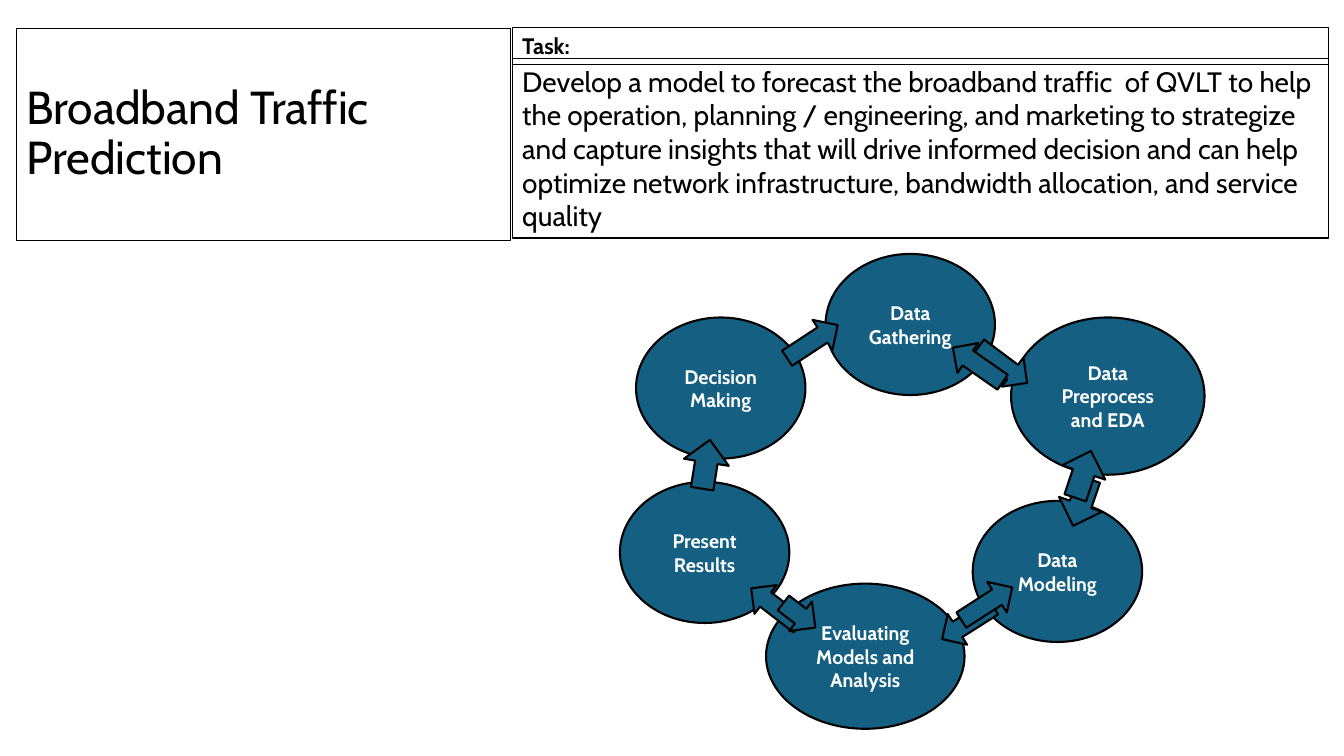
from dataclasses import dataclass

import pptx
import pptx.dml.color
import pptx.enum.shapes
import pptx.enum.text
import pptx.oxml
import pptx.shapes.autoshape
import pptx.shapes.group
import pptx.util

Pt = pptx.util.Pt
Color = pptx.dml.color.RGBColor
Preset = pptx.enum.shapes.MSO_SHAPE
Align = pptx.enum.text.PP_ALIGN
Anchor = pptx.enum.text.MSO_ANCHOR


@dataclass(frozen=True)
class Theme:
    font: str = "Cabin"
    ink: Color = Color(0x00, 0x00, 0x00)
    paper: Color = Color(0xFF, 0xFF, 0xFF)
    accent: Color = Color(0x15, 0x60, 0x82)
    title_size: float = 33
    task_size: float = 20
    heading_size: float = 16
    step_size: float = 14
    frame_line: float = 0.75
    step_line: float = 1.5


@dataclass(frozen=True)
class Area:
    left: float
    top: float
    width: float
    height: float

    def lengths(self) -> list[int]:
        return [Pt(value) for value in (self.left, self.top, self.width, self.height)]


@dataclass(frozen=True)
class Step:
    label: str
    left: float
    top: float
    width: float = 121
    height: float = 100.8


@dataclass(frozen=True)
class Arrow:
    left: float
    top: float
    rotation: float
    width: float = 43.2
    height: float = 25.9


THEME = Theme()

# Process cycle, clockwise from the top
STEPS = [
    Step("Data Gathering", 589.7, 181.4),
    Step("Data\nPreprocess and EDA", 722.2, 226.8, 138.2, 112.3),
    Step("Data Modeling", 694.8, 357.8),
    Step("Evaluating Models and Analysis", 547.2, 416.9, 141.8, 103.7),
    Step("Present Results", 442.8, 344.2),
    Step("Decision Making", 454.3, 226.8),
]

# Forward arrows, then the feedback arrows that lie over them
ARROWS = [
    Arrow(694.8, 247.7, 36.7),
    Arrow(754.6, 342.7, 109.1, 35.3, 32.4),
    Arrow(669.6, 432, 147.7),
    Arrow(532.1, 420.5, 217.6),
    Arrow(486.7, 315.4, 279, 35.3, 32.4),
    Arrow(558.7, 231.1, 326.7),
    Arrow(556.6, 426.2, 37.6, 28.8, 26.6),
    Arrow(683.3, 418.3, 327.2),
    Arrow(756, 322.6, 288.4, 35.3, 32.4),
    Arrow(676.8, 247.7, 214.8),
]

TASK = (
    "Develop a model to forecast the broadband traffic  of QVLT to help the operation, "
    "planning / engineering, and marketing to strategize and capture insights that will "
    "drive informed decision and can help optimize network infrastructure, bandwidth "
    "allocation, and service quality"
)


def write(shape: pptx.shapes.autoshape.Shape, text: str, size: float, color: Color,
          bold: bool = False, align: Align = Align.LEFT, anchor: Anchor = Anchor.MIDDLE) -> None:
    frame = shape.text_frame
    frame.text = text
    frame.word_wrap = True
    frame.auto_size = pptx.enum.text.MSO_AUTO_SIZE.NONE
    frame.vertical_anchor = anchor
    for para in frame.paragraphs:
        para.alignment = align
        para.space_before = Pt(0)
        para.font.name = THEME.font
        para.font.size = Pt(size)
        para.font.bold = bold
        para.font.color.rgb = color


def outline(shape: pptx.shapes.autoshape.Shape, width: float) -> None:
    shape.line.color.rgb = THEME.ink
    shape.line.width = Pt(width)


def frame_box(box: pptx.shapes.autoshape.Shape, area: Area) -> None:
    box.left, box.top, box.width, box.height = area.lengths()
    outline(box, THEME.frame_line)


def draw_part(cycle: pptx.shapes.group.GroupShape, preset: Preset,
              part: Step | Arrow) -> pptx.shapes.autoshape.Shape:
    area = Area(part.left, part.top, part.width, part.height)
    shape = cycle.shapes.add_shape(preset, *area.lengths())
    shape.shadow.inherit = False
    shape.fill.solid()
    shape.fill.fore_color.rgb = THEME.accent
    outline(shape, THEME.step_line)
    return shape


def remove_bullet(para) -> None:
    properties = para._p.get_or_add_pPr()
    properties.set("marL", "0")
    properties.set("indent", "0")
    properties.append(pptx.oxml.parse_xml(
        '<a:buNone xmlns:a="http://schemas.openxmlformats.org/drawingml/2006/main"/>'))


def main() -> None:
    deck = pptx.Presentation()
    deck.slide_width, deck.slide_height = Pt(960), Pt(540)
    page = deck.slides.add_slide(deck.slide_layouts[1])

    # Title
    title = page.shapes.title
    frame_box(title, Area(11.5, 20.2, 353.5, 151.9))
    write(title, "Broadband Traffic Prediction", THEME.title_size, THEME.ink)
    title.text_frame.paragraphs[0].line_spacing = 0.9

    # Task description and its heading
    task = page.placeholders[1]
    frame_box(task, Area(365.8, 41.8, 583.2, 128.2))
    write(task, TASK, THEME.task_size, THEME.ink)
    remove_bullet(task.text_frame.paragraphs[0])

    heading_area = Area(365.8, 19.4, 583.2, 26.6)
    heading = page.shapes.add_textbox(*heading_area.lengths())
    frame_box(heading, heading_area)
    write(heading, "Task:", THEME.heading_size, THEME.ink, bold=True, anchor=Anchor.TOP)

    # Process cycle
    cycle = page.shapes.add_group_shape()
    for step in STEPS:
        ellipse = draw_part(cycle, Preset.OVAL, step)
        write(ellipse, step.label, THEME.step_size, THEME.paper, bold=True, align=Align.CENTER)
    for arrow in ARROWS:
        draw_part(cycle, Preset.RIGHT_ARROW, arrow).rotation = arrow.rotation

    deck.save("out.pptx")


if __name__ == "__main__":
    main()
